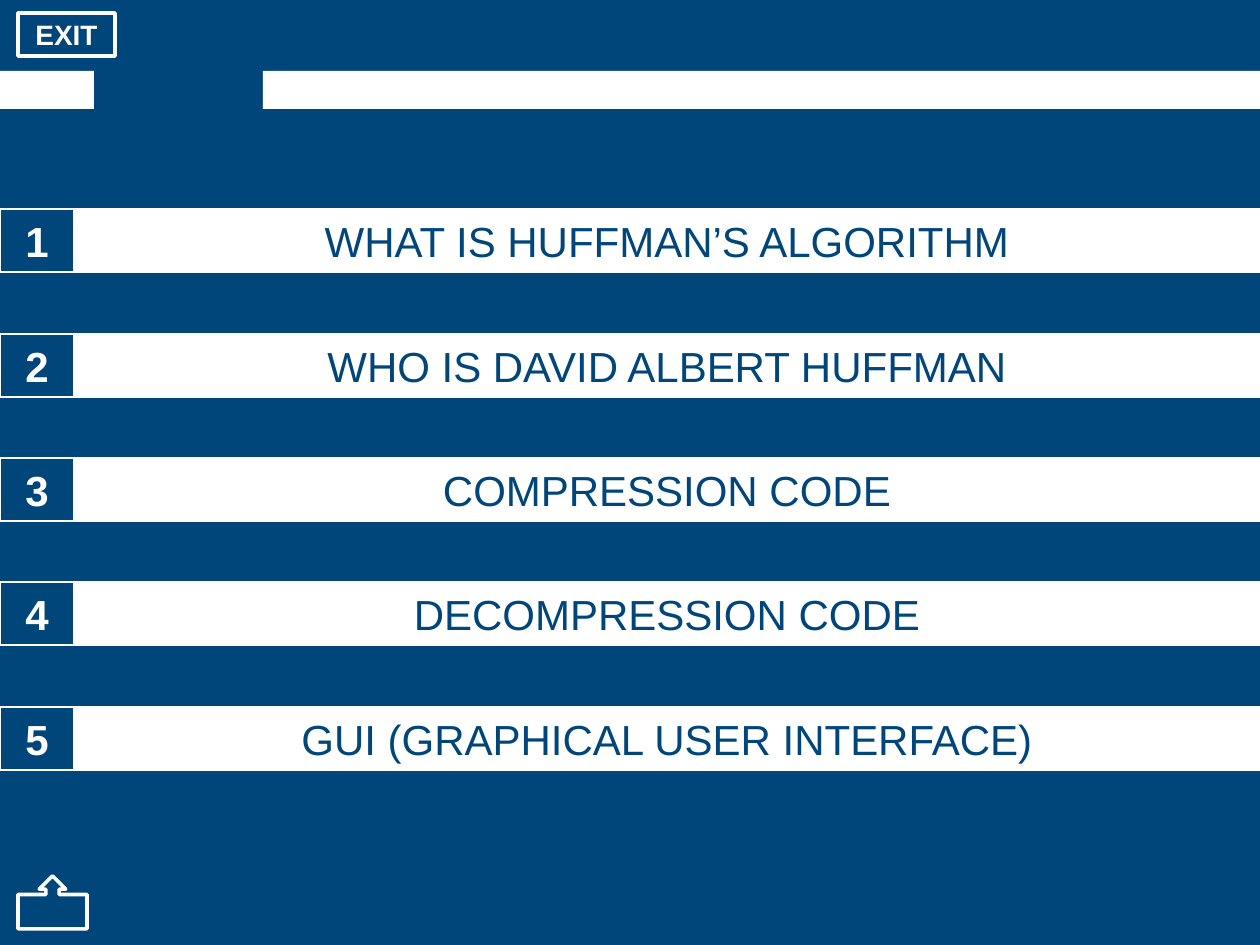
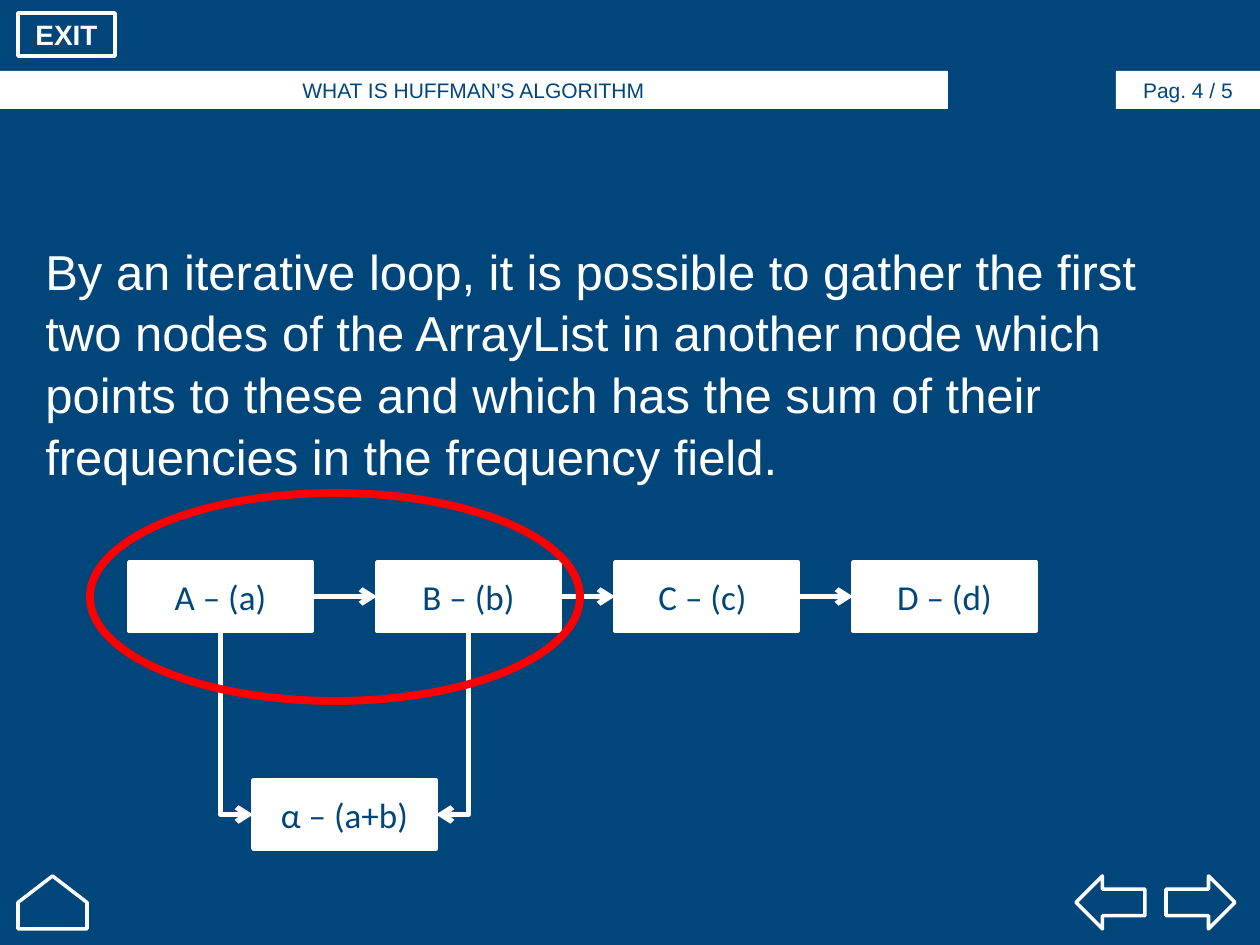
"""Build the contents page and the node-merging page of a talk on Huffman's algorithm."""
from lxml import etree
from pptx import Presentation
from pptx import util as u
from pptx.dml.color import RGBColor
from pptx.enum import shapes, text
from pptx.oxml import ns

PX = 914400 // 126
NAVY, WHITE, RED = "00467A", "FFFFFF", "FF0000"
KIND = shapes.MSO_SHAPE

BAND_TOP, BAND_HEIGHT = 71, 38
BUTTON_TOP, BUTTON_SIZE = 876, (69, 53)
HOME_LEFT, BACK_LEFT, NEXT_LEFT = 18, 1076, 1166

TOPICS = [
    "WHAT IS HUFFMAN’S ALGORITHM",
    "WHO IS DAVID ALBERT HUFFMAN",
    "COMPRESSION CODE",
    "DECOMPRESSION CODE",
    "GUI (GRAPHICAL USER INTERFACE)",
]
FIRST_ROW, LAST_ROW, ROW_HEIGHT, NUMBER_WIDTH = 209, 707, 63, 74

EXPLANATION = (
    "By an iterative loop, it is possible to gather the first two nodes of the "
    "ArrayList in another node which points to these and which has the sum of "
    "their frequencies in the frequency field."
)
NODES = [("A – (a)", 129), ("B – (b)", 377), ("C – (c) ", 615), ("D – (d)", 853)]
NODE_TOP, NODE_SIZE = 562, (183, 69)
SUM_NODE = ("α – (a+b)", 253, 780)
TOP, LEFT, BOTTOM, RIGHT = range(4)


def colour(value):
    return RGBColor.from_string(value)


def write(box, words, size, ink, bold=False, font="Arial", align=text.PP_ALIGN.CENTER):
    box.text_frame.word_wrap = True
    para = box.text_frame.paragraphs[0]
    para.text = words
    para.alignment = align
    para.font.size, para.font.name, para.font.bold = u.Pt(size), font, bold
    para.font.color.rgb = colour(ink)
    return para


def add_box(page, kind, left, top, width, height, fill=NAVY, line=WHITE, weight=2):
    box = page.shapes.add_shape(kind, *(n * PX for n in (left, top, width, height)))
    box.shadow.inherit = False
    box.text_frame.vertical_anchor = text.MSO_ANCHOR.MIDDLE
    if fill:
        box.fill.solid()
        box.fill.fore_color.rgb = colour(fill)
    else:
        box.fill.background()
    if line:
        box.line.color.rgb = colour(line)
        box.line.width = u.Pt(weight)
    else:
        box.line.fill.background()
    return box


def add_band(page, left, width, words=None):
    band = add_box(page, KIND.RECTANGLE, left, BAND_TOP, width, BAND_HEIGHT, WHITE, None)
    if words:
        write(band, words, 12, NAVY)


def add_button(page, kind, left):
    return add_box(page, kind, left, BUTTON_TOP, *BUTTON_SIZE)


def add_node(page, words, left, top):
    node = add_box(page, KIND.RECTANGLE, left, top, *NODE_SIZE, fill=WHITE)
    write(node, words, 20, NAVY, font="Calibri")
    return node


def add_arrow(page, kind, start, start_side, end, end_side):
    arrow = page.shapes.add_connector(kind, 0, 0, 0, 0)
    arrow.begin_connect(start, start_side)
    arrow.end_connect(end, end_side)
    arrow.line.color.rgb = colour(WHITE)
    arrow.line.width = u.Pt(3)
    etree.SubElement(arrow.line._get_or_add_ln(), ns.qn("a:tailEnd"), type="arrow")
    etree.SubElement(arrow._element.spPr, ns.qn("a:effectLst"))
    return arrow


def add_bent_arrow(page, start, end, end_side):
    arrow = add_arrow(page, shapes.MSO_CONNECTOR.ELBOW, start, BOTTOM, end, end_side)
    from_left = end_side == LEFT
    begin_x, begin_y = start.left + start.width // 2, start.top + start.height
    end_x = end.left if from_left else end.left + end.width
    end_y = end.top + end.height // 2
    drop, run = end_y - begin_y, abs(end_x - begin_x)
    arrow.left, arrow.top = (begin_x + end_x - drop) // 2, (begin_y + end_y - run) // 2
    arrow.width, arrow.height = drop, run
    properties = arrow._element.spPr
    frame = properties.find(ns.qn("a:xfrm"))
    frame.set("rot", str((270 if from_left else 90) * 60000))
    frame.set("flipH", "1" if from_left else "0")
    frame.set("flipV", "0")
    properties.find(ns.qn("a:prstGeom")).set("prst", "bentConnector2")


def add_page(deck):
    page = deck.slides.add_slide(deck.slide_layouts[6])
    page.background.fill.solid()
    page.background.fill.fore_color.rgb = colour(NAVY)
    exit_button = add_box(page, KIND.ACTION_BUTTON_CUSTOM, 18, 13, 97, 43)
    write(exit_button, "EXIT", 16, WHITE, bold=True)
    return page


def build_contents(deck):
    page = add_page(deck)
    add_band(page, 263, 997)
    add_band(page, 0, 94)
    pitch = (LAST_ROW - FIRST_ROW) / (len(TOPICS) - 1)
    for index, topic in enumerate(TOPICS):
        top = round(FIRST_ROW + index * pitch)
        row = add_box(page, KIND.RECTANGLE, NUMBER_WIDTH, top, 1260 - NUMBER_WIDTH,
                      ROW_HEIGHT, WHITE, weight=1)
        write(row, topic, 24, NAVY)
        number = add_box(page, KIND.RECTANGLE, 0, top, NUMBER_WIDTH, ROW_HEIGHT, weight=1)
        write(number, str(index + 1), 24, WHITE, bold=True)
    add_button(page, KIND.UP_ARROW_CALLOUT, HOME_LEFT)


def build_merging(deck):
    page = add_page(deck)
    add_band(page, -1, 949, TOPICS[0])
    add_band(page, 1116, 144, "Pag. 4 / 5")
    home = add_button(page, KIND.UP_ARROW, HOME_LEFT)
    home.adjustments[0], home.adjustments[1] = 1, 0.5
    add_button(page, KIND.LEFT_ARROW, BACK_LEFT)
    add_button(page, KIND.RIGHT_ARROW, NEXT_LEFT)

    body = page.shapes.add_textbox(*(n * PX for n in (33, 232, 1201, 251)))
    para = write(body, EXPLANATION, 28, WHITE, align=text.PP_ALIGN.LEFT)
    para.line_spacing = 1.05

    nodes = [add_node(page, words, left, NODE_TOP) for words, left in NODES]
    for node, following in zip(nodes, nodes[1:]):
        add_arrow(page, shapes.MSO_CONNECTOR.STRAIGHT, node, RIGHT, following, LEFT)
    sum_node = add_node(page, *SUM_NODE)
    add_bent_arrow(page, nodes[0], sum_node, LEFT)
    add_bent_arrow(page, nodes[1], sum_node, RIGHT)
    add_box(page, KIND.OVAL, 90, 493, 490, 208, None, RED, 4.5)


def main():
    deck = Presentation()
    deck.slide_width, deck.slide_height = u.Inches(10), u.Inches(7.5)
    build_contents(deck)
    build_merging(deck)
    deck.save("out.pptx")


if __name__ == "__main__":
    main()
